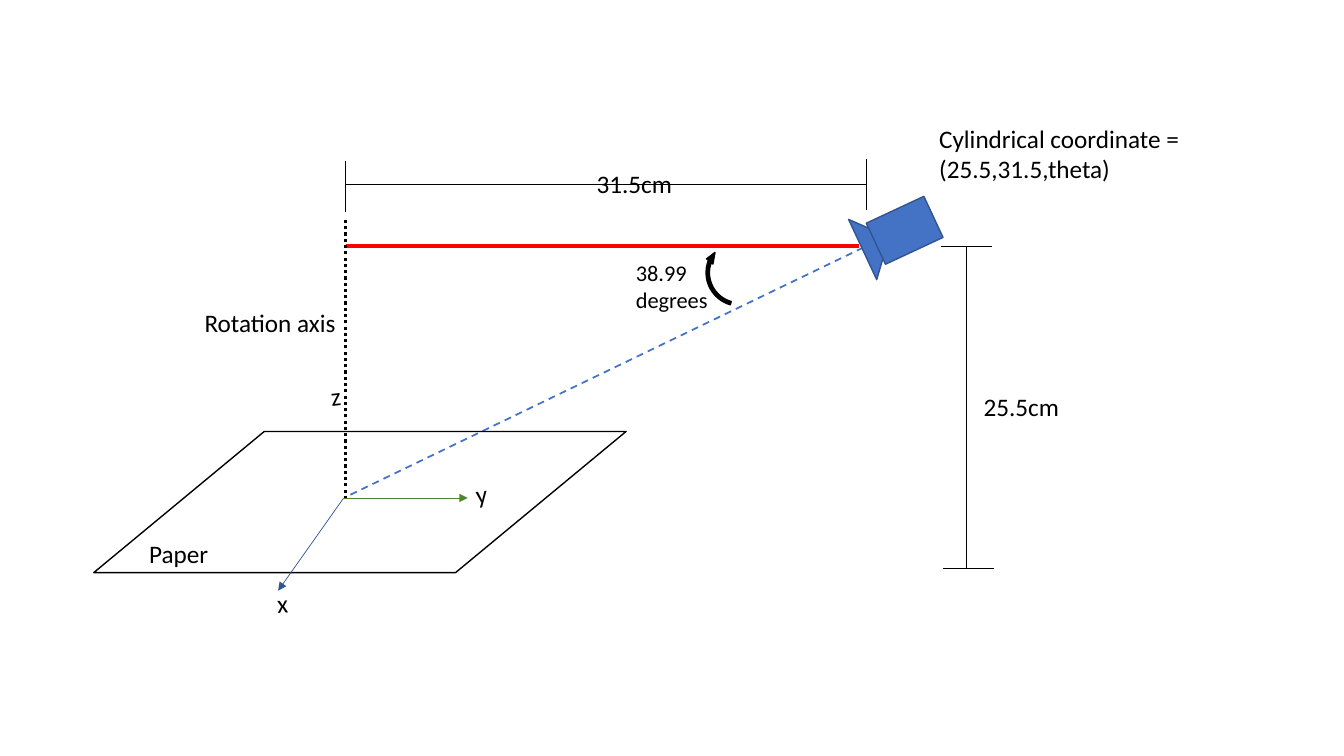
from lxml import etree
from pptx import Presentation
from pptx.dml.color import RGBColor
from pptx.enum import dml, shapes, text
from pptx.oxml import ns
from pptx.util import Pt

BLACK, RED, BLUE, EDGE = "000000", "FF0000", "4472C4", "325491"
X_BLUE, Y_GREEN = "2F5597", "548235"
TICK = 36


def rgb(value):
    """Turn a hex string into a colour."""
    return RGBColor.from_string(value)


def add_line(s, start, end, color=BLACK, width=0.5, dash=None, arrow=False):
    """Draw a straight line, optionally dashed or with an end arrow."""
    c = s.shapes.add_connector(shapes.MSO_CONNECTOR.STRAIGHT,
                               *(Pt(v) for v in (*start, *end)))
    c.line.color.rgb = rgb(color)
    c.line.width = Pt(width)
    if dash:
        c.line.dash_style = dash
    if arrow:
        etree.SubElement(c.line._get_or_add_ln(), ns.qn("a:tailEnd"), type="triangle")
    etree.SubElement(c._element.spPr, ns.qn("a:effectLst"))
    return c


def add_shape(s, kind, box, fill=None, edge=BLACK, rotation=0, adjust=()):
    """Draw a preset shape with a thin outline."""
    sp = s.shapes.add_shape(kind, *(Pt(v) for v in box))
    sp.shadow.inherit = False
    sp.rotation = rotation
    if fill:
        sp.fill.solid()
        sp.fill.fore_color.rgb = rgb(fill)
    else:
        sp.fill.background()
    sp.line.color.rgb = rgb(edge)
    sp.line.width = Pt(1)
    for i, value in enumerate(adjust):
        sp.adjustments[i] = value
    return sp


def add_label(s, label, box, size=18, rotation=0):
    """Write a wrapped label, aligned left."""
    sp = s.shapes.add_textbox(*(Pt(v) for v in box))
    sp.rotation = rotation
    tf = sp.text_frame
    tf.word_wrap = True
    tf.auto_size = text.MSO_AUTO_SIZE.SHAPE_TO_FIT_TEXT
    tf.text = label
    font = tf.paragraphs[0].runs[0].font
    font.name, font.size = "Calibri", Pt(size)
    font.color.rgb = rgb(BLACK)
    return sp


def draw_sight(s, x, y, w, h):
    """Draw the rotation axis, radius and line of sight; y is the radius level."""
    add_line(s, (x, y), (x + w, y), RED, 3)
    add_line(s, (x, y + h), (x, y - 18.7), width=2.25,
             dash=dml.MSO_LINE.ROUND_DOT)
    add_label(s, "Rotation axis", (x - 108, y + 40.3, 145.4, 28.8))
    add_line(s, (x + w + 50.4, y - 21.6), (x, y + h - 1.4), BLUE, 1.25,
             dml.MSO_LINE.DASH)


def draw_camera(s, x, y, w, h):
    """Draw the tilted camera body with its lens cone."""
    add_shape(s, shapes.MSO_SHAPE.ISOSCELES_TRIANGLE,
              (x, y + h - 20.9, 47.5, 20.9), BLUE, EDGE, 65)
    add_shape(s, shapes.MSO_SHAPE.RECTANGLE,
              (x + w - 45.4, y, 45.4, 32.4), BLUE, EDGE, 335)


def draw_angle(s, x, y, w, h):
    """Draw the viewing angle: its value on the left and a curved arrow."""
    add_shape(s, shapes.MSO_SHAPE.CIRCULAR_ARROW, (x + w - 51.1, y, 51.1, 51.1),
              BLACK, rotation=218.6,
              adjust=(0.047, 11.423, 205.228, 148.327, 0.057))
    add_label(s, "38.99 degrees", (x, y + h - 46.1, 72, 46.1), 16)


def draw_width(s, x, y, w, h):
    """Draw the horizontal dimension with an end tick on each side."""
    middle = y + h / 2
    add_line(s, (x, middle), (x + w, middle))
    for tick_x, top in ((x, y + 1.4), (x + w, y)):
        add_line(s, (tick_x, top), (tick_x, top + TICK))
    add_label(s, "31.5cm", (x + 172, y + 2.8, 145.4, 28.8))


def draw_height(s, x, y, w, h):
    """Draw the vertical dimension with a tick at the top and bottom."""
    middle = x + w / 2
    add_line(s, (middle, y), (middle, y + h))
    for tick_y, left in ((y, x), (y + h, x + 1.4)):
        add_line(s, (left, tick_y), (left + TICK, tick_y))
    add_label(s, "25.5cm", (x + 23, y + 100.1, 79.9, 28.8))


def draw_paper(s, x, y, w, h):
    """Draw the sheet of paper in perspective."""
    add_shape(s, shapes.MSO_SHAPE.PARALLELOGRAM, (x, y, w, h), adjust=(1.208,))
    add_label(s, "Paper", (x + 32.4, y + h - 28, 81.4, 28.8))


def draw_axes(s, x, y, w, h):
    """Draw the x and y arrows and all axis names; z stands above the box."""
    origin = (x + 46.8, y)
    add_line(s, origin, (x, y + h), X_BLUE, arrow=True)
    add_line(s, origin, (x + w, y), Y_GREEN, arrow=True)
    for name, dx, dy, tilt in (("x", -7.9, 59.7, 356.6),
                               ("y", 133.9, -19.5, 353.4),
                               ("z", 30.3, -89.3, 353.4)):
        add_label(s, name, (x + dx, y + dy, 55.4, 28.8), rotation=tilt)


def build_slide(s, x, y, w, h):
    """Place every part of the camera diagram in the given box."""
    parts = ((draw_sight, (180, 91.5, 366.4, 180.7)),
             (draw_camera, (534.9, 64.1, 67, 36)),
             (draw_angle, (380.1, 85, 106.6, 58.3)),
             (draw_width, (180, 29.6, 371.5, TICK)),
             (draw_height, (605.5, 91.5, TICK, 230.4)),
             (draw_paper, (0, 224, 380.2, 100.8)),
             (draw_axes, (131.7, 271.5, 135.4, 66.2)))
    for draw, (left, top, width, height) in parts:
        draw(s, x + left, y + top, width, height)
    add_label(s, "Cylindrical coordinate = (25.5,31.5,theta)",
              (x + w - 203.8, y, 203.8, 51.1))


prs = Presentation()
prs.slide_width, prs.slide_height = Pt(960), Pt(540)
slide = prs.slides.add_slide(prs.slide_layouts[6])
build_slide(slide, 67, 84.2, 800.6, 360)
prs.save("out.pptx")
